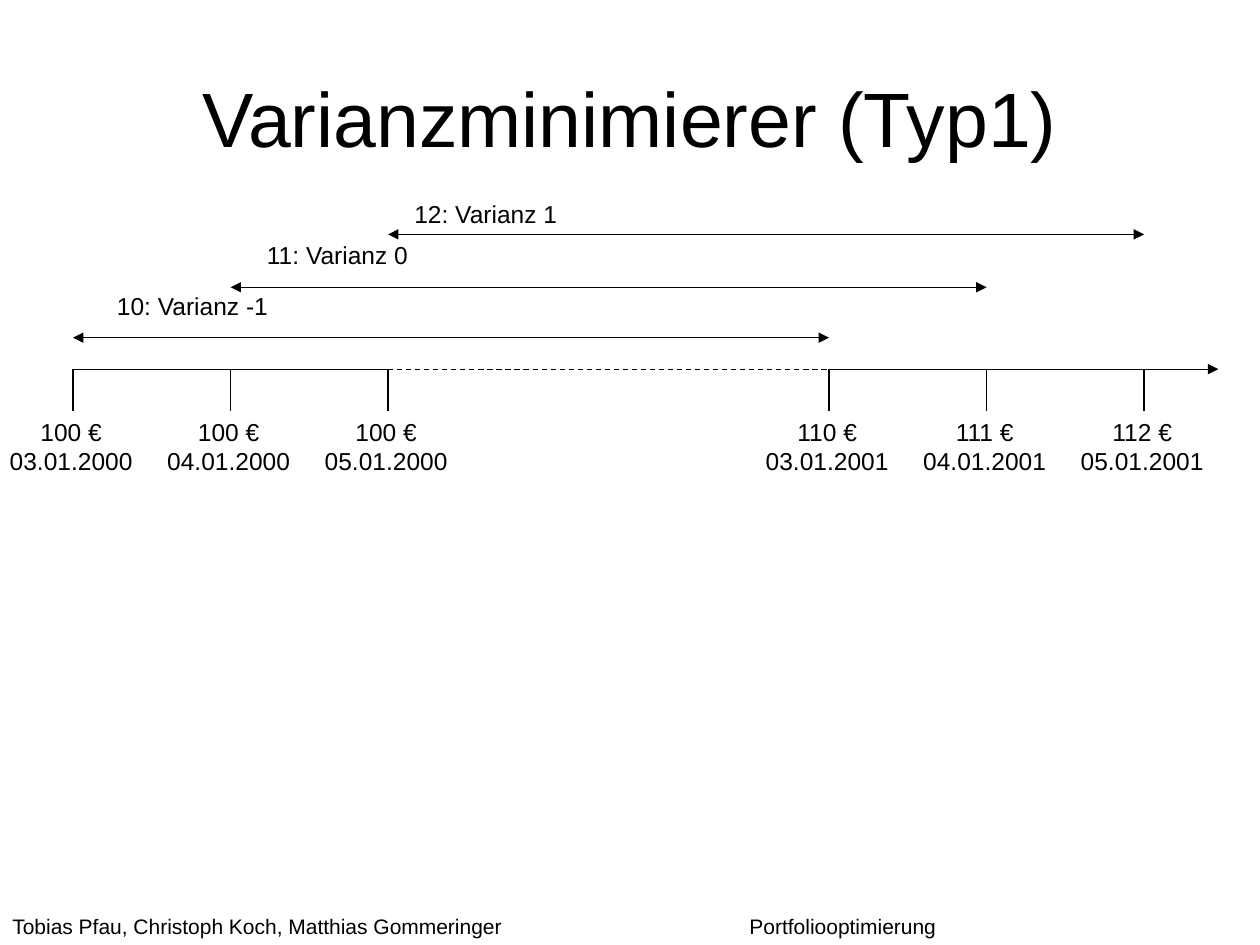
from lxml.etree import SubElement
from pptx import Presentation
from pptx.dml.color import RGBColor
from pptx.enum.dml import MSO_LINE
from pptx.enum.shapes import MSO_CONNECTOR
from pptx.enum.text import MSO_ANCHOR, MSO_AUTO_SIZE, PP_ALIGN
from pptx.oxml.ns import qn
from pptx.util import Inches, Pt

FONT = "Arial"
BLACK = "000000"
AXIS_Y = 2.93
TICK_BOTTOM = 3.26
AXIS_END = 9.67
SPAN = 6  # distance between a date and the same date one year later

TICKS = [
    (0.58, "100 €", "03.01.2000"),
    (1.83, "100 €", "04.01.2000"),
    (3.08, "100 €", "05.01.2000"),
    (6.58, "110 €", "03.01.2001"),
    (7.83, "111 €", "04.01.2001"),
    (9.08, "112 €", "05.01.2001"),
]
# start, height of the arrow, label, left, top and width of the label
PERIODS = [
    (0.58, 2.68, "10: Varianz -1", 0.83, 2.26, 1.41),
    (1.83, 2.28, "11: Varianz 0", 2.02, 1.86, 1.35),
    (3.08, 1.86, "12: Varianz 1", 3.19, 1.53, 1.35),
]


def color(hex_value):
    return RGBColor.from_string(hex_value)


def style_paragraph(paragraph, size, align):
    paragraph.alignment = align
    paragraph.font.name = FONT
    paragraph.font.size = Pt(size)
    paragraph.font.color.rgb = color(BLACK)


def add_text(slide, left, top, width, height, lines, size=14,
             align=PP_ALIGN.LEFT, wrap=False):
    box = slide.shapes.add_textbox(Inches(left), Inches(top),
                                   Inches(width), Inches(height))
    frame = box.text_frame
    frame.word_wrap = wrap
    frame.auto_size = MSO_AUTO_SIZE.SHAPE_TO_FIT_TEXT
    frame.text = "\n".join(lines)
    for paragraph in frame.paragraphs:
        style_paragraph(paragraph, size, align)
    return box


def add_line(slide, start, end, arrows=(), dashed=False):
    """Draw a thin line; arrows names its ends that get a triangle."""
    line = slide.shapes.add_connector(
        MSO_CONNECTOR.STRAIGHT, *(Inches(value) for value in start + end))
    line.line.color.rgb = color(BLACK)
    line.line.width = Pt(0.75)
    if dashed:
        line.line.dash_style = MSO_LINE.DASH
    properties = line.element.spPr
    for arrow in arrows:
        SubElement(properties.find(qn("a:ln")), qn(f"a:{arrow}"),
                   type="triangle")
    SubElement(properties, qn("a:effectLst"))


def add_title(slide, text):
    title = slide.shapes.title
    title.left, title.top = Inches(0.5), Inches(0.3)
    title.width, title.height = Inches(9), Inches(1.25)
    frame = title.text_frame
    frame.text = text
    frame.auto_size = MSO_AUTO_SIZE.NONE
    frame.vertical_anchor = MSO_ANCHOR.MIDDLE
    style_paragraph(frame.paragraphs[0], 44, PP_ALIGN.CENTER)


def add_footer(slide, authors, topic):
    footer = add_text(slide, 0, 7.2, 10, 0.3, [f"{authors}\t{topic}"],
                      size=12, wrap=True)
    paragraph = footer.text_frame.paragraphs[0]
    paragraph.space_before = Pt(7.5)
    properties = paragraph._p.get_or_add_pPr()
    tabs = SubElement(properties, qn("a:tabLst"))
    SubElement(tabs, qn("a:tab"), pos=str(Inches(5.85)), algn="l")
    properties.find(qn("a:defRPr")).addprevious(tabs)


def add_time_axis(slide):
    gap_start, gap_end = TICKS[2][0], TICKS[3][0]
    add_line(slide, (TICKS[0][0], AXIS_Y), (gap_start, AXIS_Y))
    add_line(slide, (gap_start, AXIS_Y), (gap_end, AXIS_Y), dashed=True)
    add_line(slide, (gap_end, AXIS_Y), (AXIS_END, AXIS_Y), ["tailEnd"])
    for x, price, date in TICKS:
        add_line(slide, (x, AXIS_Y), (x, TICK_BOTTOM))
        add_text(slide, x - 0.61, TICK_BOTTOM, 1.19, 0.57, [price, date],
                 align=PP_ALIGN.CENTER)


def add_periods(slide):
    for start, y, label, left, top, width in PERIODS:
        add_line(slide, (start, y), (start + SPAN, y),
                 ["headEnd", "tailEnd"])
        add_text(slide, left, top, width, 0.34, [label])


def main():
    presentation = Presentation()
    presentation.slide_width = Inches(10)
    presentation.slide_height = Inches(7.5)
    slide = presentation.slides.add_slide(presentation.slide_layouts[5])
    add_footer(slide, "Tobias Pfau, Christoph Koch, Matthias Gommeringer",
               "Portfoliooptimierung")
    add_title(slide, "Varianzminimierer (Typ1)")
    add_time_axis(slide)
    add_periods(slide)
    presentation.save("out.pptx")


if __name__ == "__main__":
    main()
